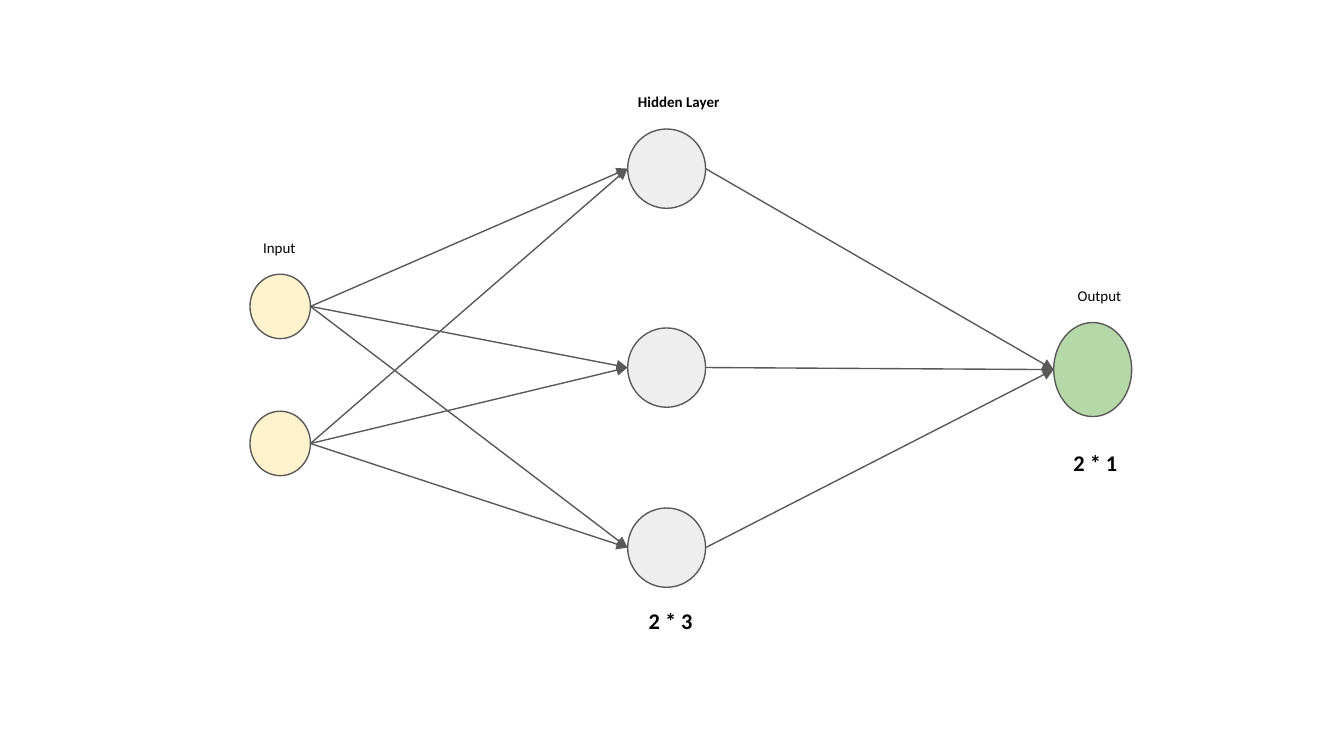
from pptx import Presentation
from pptx.dml.color import RGBColor
from pptx.enum.shapes import MSO_CONNECTOR, MSO_SHAPE
from pptx.enum.text import MSO_ANCHOR, PP_ALIGN
from pptx.oxml.ns import qn
from pptx.util import Inches, Pt
from lxml.etree import SubElement

COLORS = {
    "input": "FFF2CC",
    "hidden": "EEEEEE",
    "output": "B6D7A8",
    "line": "595959",
    "text": "000000",
}

prs = Presentation()
prs.slide_width = Inches(10)
prs.slide_height = Inches(10) * 9 // 16
s = prs.slides.add_slide(prs.slide_layouts[6])

# Layers from left to right: name, left, node width, node height, node tops
layers = [
    ("input", 1.86, 0.45, 0.48, [2.04, 3.06]),
    ("hidden", 4.67, 0.58, 0.59, [0.96, 2.44, 3.78]),
    ("output", 7.84, 0.58, 0.7, [2.4]),
]
nodes = {}
for name, left, width, height, tops in layers:
    nodes[name] = []
    for top in tops:
        sp = s.shapes.add_shape(MSO_SHAPE.OVAL, Inches(left), Inches(top),
                                Inches(width), Inches(height))
        sp.shadow.inherit = False
        sp.fill.solid()
        sp.fill.fore_color.rgb = RGBColor.from_string(COLORS[name])
        sp.line.color.rgb = RGBColor.from_string(COLORS["line"])
        sp.line.width = Pt(0.75)
        nodes[name].append(sp)

# Every node points at every node of the next layer
for source, target in [("input", "hidden"), ("hidden", "output")]:
    for a in nodes[source]:
        for b in nodes[target]:
            edge = s.shapes.add_connector(
                MSO_CONNECTOR.STRAIGHT,
                a.left + a.width, a.top + a.height // 2,
                b.left, b.top + b.height // 2)
            edge.line.color.rgb = RGBColor.from_string(COLORS["line"])
            edge.line.width = Pt(0.75)
            sp_pr = edge._element.spPr
            SubElement(sp_pr.find(qn("a:ln")), qn("a:tailEnd"), type="triangle")
            SubElement(sp_pr, qn("a:effectLst"))

# Text, left, top, width, height, size, bold, alignment
labels = [
    ("Output", 7.92, 2.12, 0.53, 0.15, 8, False, PP_ALIGN.LEFT),
    ("Hidden Layer", 4.54, 0.68, 1.02, 0.15, 8, True, PP_ALIGN.CENTER),
    ("Input", 1.86, 1.77, 0.53, 0.15, 8, False, PP_ALIGN.LEFT),
    ("2 * 3", 4.48, 4.44, 1.02, 0.35, 12, True, PP_ALIGN.CENTER),
    ("2 * 1", 7.64, 3.27, 1.02, 0.35, 12, True, PP_ALIGN.CENTER),
]
for text, left, top, width, height, size, bold, align in labels:
    tf = s.shapes.add_textbox(Inches(left), Inches(top),
                              Inches(width), Inches(height)).text_frame
    tf.word_wrap = True
    tf.vertical_anchor = MSO_ANCHOR.MIDDLE
    tf.margin_left = tf.margin_right = Inches(0.1)
    tf.margin_top = tf.margin_bottom = Inches(0.1)
    p = tf.paragraphs[0]
    p.text = text
    p.alignment = align
    p.font.name = "Calibri"
    p.font.size = Pt(size)
    p.font.bold = bold
    p.font.color.rgb = RGBColor.from_string(COLORS["text"])

prs.save("out.pptx")
